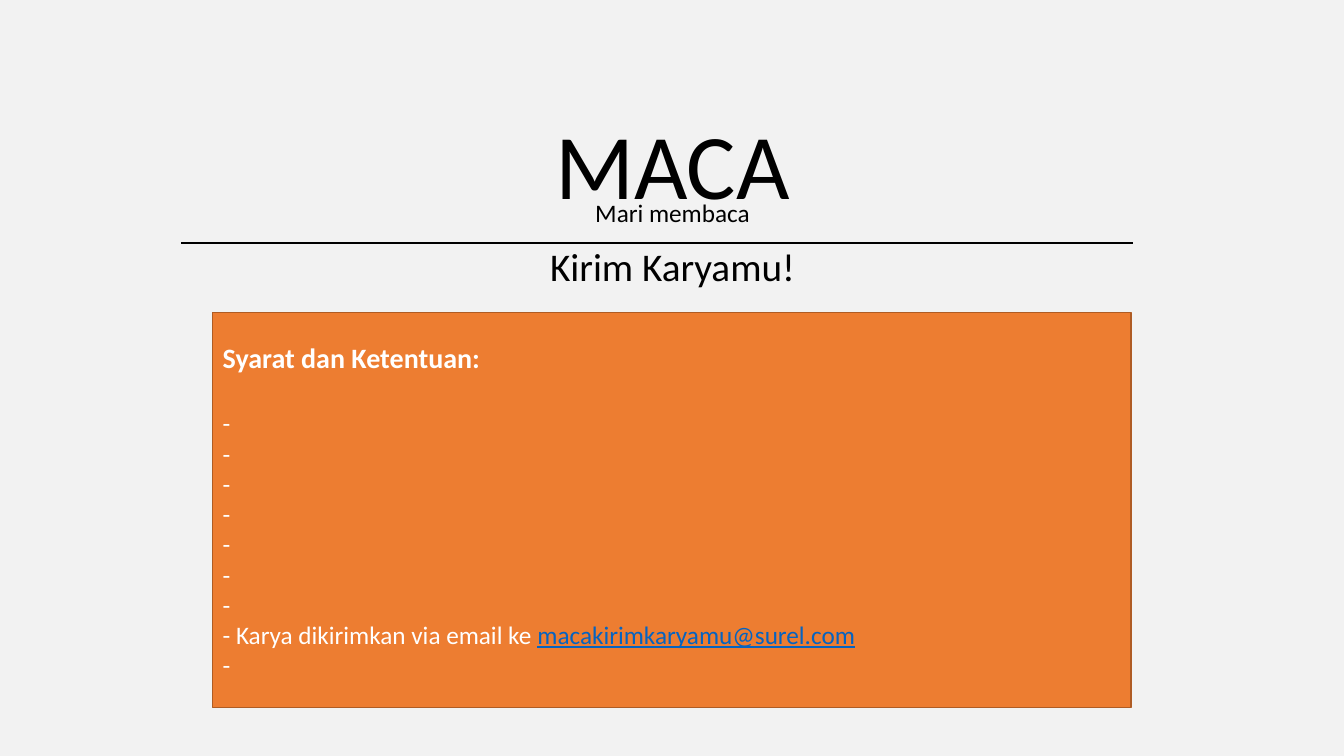
from typing import NamedTuple

from pptx import Presentation
from pptx.dml.color import RGBColor
from pptx.enum.shapes import MSO_CONNECTOR as Link, MSO_SHAPE as Shape
from pptx.enum.text import MSO_ANCHOR as Anchor, PP_ALIGN as Align
from pptx.oxml.ns import qn
from pptx.slide import Slide
from pptx.util import Inches, Pt
from lxml.etree import SubElement

PAPER = RGBColor(0xF2, 0xF2, 0xF2)
BLACK = RGBColor(0, 0, 0)
WHITE = RGBColor(0xFF, 0xFF, 0xFF)
ORANGE = RGBColor(0xED, 0x7D, 0x31)
BROWN = RGBColor(0xAF, 0x5C, 0x24)
BLUE = RGBColor(0x05, 0x63, 0xC1)
FONT = "Calibri"


class Label(NamedTuple):
    text: str
    left: float
    top: float
    width: float
    height: float
    size: int
    before: int = 10
    anchor: Anchor = Anchor.TOP


class Term(NamedTuple):
    text: str = "-"
    mail: str = ""
    size: int = 18
    bold: bool = False
    after: int = 0


LABELS = [
    Label("MACA", 0.92, 0.96, 11.5, 1.45, 66, 0, Anchor.MIDDLE),
    Label("Kirim Karyamu!", 0.92, 2.41, 11.5, 4.34, 28),
    Label("Mari membaca", 1.67, 1.94, 10, 1.81, 18),
]
TERMS = [
    Term("Syarat dan Ketentuan:", size=20, bold=True, after=24),
    *[Term()] * 7,
    Term("- Karya dikirimkan via email ke ", "macakirimkaryamu@surel.com"),
    Term(),
]


def add_label(slide: Slide, label: Label) -> None:
    box = slide.shapes.add_textbox(
        Inches(label.left), Inches(label.top),
        Inches(label.width), Inches(label.height))
    frame = box.text_frame
    frame.word_wrap = True
    frame.vertical_anchor = label.anchor
    para = frame.paragraphs[0]
    para.text = label.text
    para.alignment = Align.CENTER
    para.line_spacing = 0.9
    para.space_before = Pt(label.before)
    para.font.name = FONT
    para.font.size = Pt(label.size)
    para.font.color.rgb = BLACK


def add_rule(slide: Slide) -> None:
    """Draw the line under the subtitle."""
    rule = slide.shapes.add_connector(
        Link.STRAIGHT, Inches(1.8), Inches(2.41), Inches(11.24), Inches(2.41))
    rule.line.color.rgb = BLACK
    rule.line.width = Pt(1.5)
    SubElement(rule._element.spPr, qn("a:effectLst"))


def add_terms(slide: Slide, terms: list[Term]) -> None:
    """Draw the orange panel with its heading and list."""
    panel = slide.shapes.add_shape(
        Shape.RECTANGLE, Inches(2.11), Inches(3.1), Inches(9.11), Inches(3.92))
    panel.shadow.inherit = False
    panel.fill.solid()
    panel.fill.fore_color.rgb = ORANGE
    panel.line.color.rgb = BROWN
    panel.line.width = Pt(1)
    frame = panel.text_frame
    frame.word_wrap = True
    frame.vertical_anchor = Anchor.MIDDLE
    for i, term in enumerate(terms):
        para = frame.add_paragraph() if i else frame.paragraphs[0]
        para.alignment = Align.LEFT
        para.space_after = Pt(term.after)
        para.font.name = FONT
        para.font.size = Pt(term.size)
        para.font.bold = term.bold
        para.font.color.rgb = WHITE
        para.add_run().text = term.text
        if term.mail:
            mail = para.add_run()
            mail.text = term.mail
            mail.font.color.rgb = BLUE
            mail.font.underline = True


def main() -> None:
    deck = Presentation()
    deck.slide_width = Inches(13.33)
    deck.slide_height = Inches(7.5)
    slide = deck.slides.add_slide(deck.slide_layouts[6])
    slide.background.fill.solid()
    slide.background.fill.fore_color.rgb = PAPER
    for label in LABELS:
        add_label(slide, label)
    add_rule(slide)
    add_terms(slide, TERMS)
    deck.save("out.pptx")


if __name__ == "__main__":
    main()
